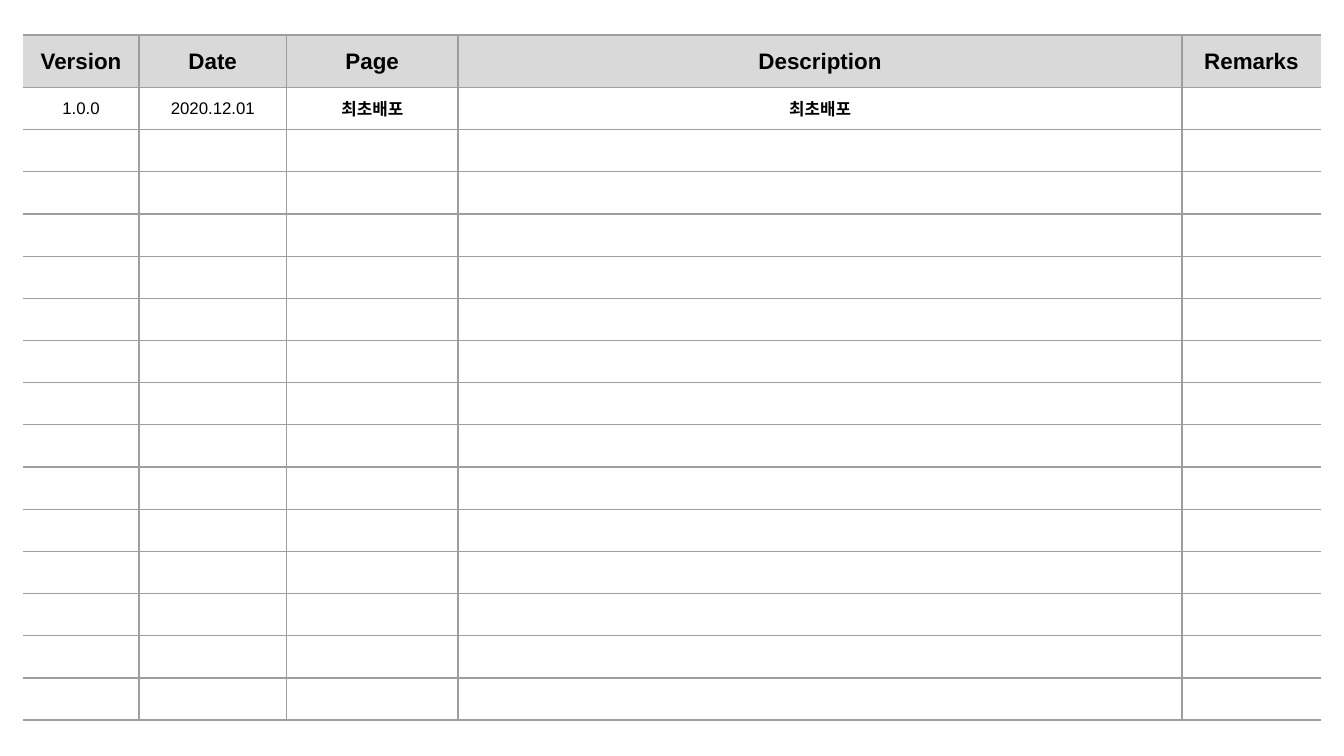
from lxml.etree import SubElement as Sub
from pptx import Presentation
from pptx.dml.color import RGBColor
from pptx.enum.text import MSO_ANCHOR as Anchor, PP_ALIGN as Align
from pptx.oxml.ns import qn
from pptx.util import Pt

FONT, INK, GREY, LINE = "Arial", "000000", "D9D9D9", "9E9E9E"
WIDTHS = [62.2, 79, 91.9, 387.9, 74.4]
HEAD_H, ROW_H, COUNT = 28.1, 22.6, 15
HEADS = ["Version", "Date", "Page", "Description", "Remarks"]
FIRST = ["1.0.0", "2020.12.01", "최초배포", "최초배포", ""]
BOLD = {2, 3}


def paint(target, color):
    """Set a fill or a font to a hex colour."""
    if hasattr(target, "solid"):
        target.solid()
        target.fore_color.rgb = RGBColor.from_string(color)
    else:
        target.color.rgb = RGBColor.from_string(color)


def rule(cell, side, shown):
    """Draw or hide one border of a cell."""
    line = Sub(cell._tc.get_or_add_tcPr(), qn("a:ln" + side), w=str(Pt(0.75)))
    if shown:
        Sub(Sub(line, qn("a:solidFill")), qn("a:srgbClr"), val=LINE)
    else:
        Sub(line, qn("a:noFill"))


def style(cell, text, size, bold, fill=None):
    """Write centred text in a cell and set its fill."""
    cell.margin_left = cell.margin_right = 0
    cell.margin_top = cell.margin_bottom = 0
    cell.vertical_anchor = Anchor.MIDDLE
    cell.text = text
    para = cell.text_frame.paragraphs[0]
    para.alignment = Align.CENTER
    font = para.font
    font.name, font.size, font.bold = FONT, Pt(size), bold
    paint(font, INK)
    if fill:
        paint(cell.fill, fill)
    else:
        cell.fill.background()


def history(slide, left, top):
    """Place the version history table with its corner at left, top."""
    last = len(WIDTHS) - 1
    frame = slide.shapes.add_table(
        COUNT + 1, len(WIDTHS), Pt(left), Pt(top),
        Pt(sum(WIDTHS)), Pt(HEAD_H + COUNT * ROW_H))
    table = frame.table
    table.first_row = table.horz_banding = False
    for col, width in zip(table.columns, WIDTHS):
        col.width = Pt(width)
    texts = [HEADS, FIRST] + [[""] * len(WIDTHS)] * (COUNT - 1)
    for r, words in enumerate(texts):
        table.rows[r].height = Pt(ROW_H if r else HEAD_H)
        for c, text in enumerate(words):
            cell = table.cell(r, c)
            for side in "LRTB":
                outer = (side, c) in (("L", 0), ("R", last))
                rule(cell, side, not outer)
            if r == 0:
                style(cell, text, 12, True, GREY)
            else:
                style(cell, text, 9, c in BOLD)


deck = Presentation()
deck.slide_width, deck.slide_height = Pt(720), Pt(405)
history(deck.slides.add_slide(deck.slide_layouts[6]), 12.3, 18.8)
deck.save("out.pptx")
